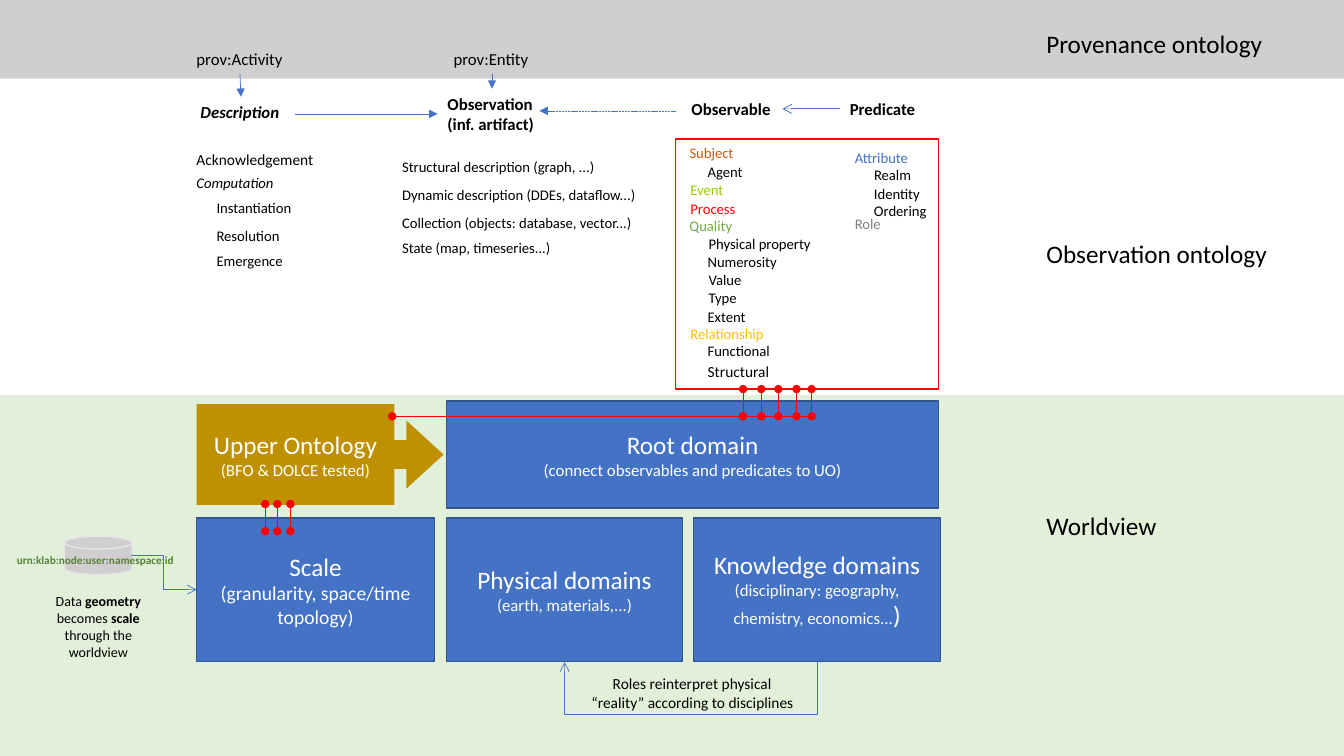
import pptx
import pptx.util
import pptx.dml.color
import pptx.enum.dml
import pptx.enum.shapes
import pptx.enum.text
import pptx.oxml
import pptx.oxml.ns

Inches = pptx.util.Inches
Kind = pptx.enum.shapes.MSO_SHAPE
Link = pptx.enum.shapes.MSO_CONNECTOR
Align = pptx.enum.text.PP_ALIGN
Fit = pptx.enum.text.MSO_AUTO_SIZE
rgb = pptx.dml.color.RGBColor.from_string
qn = pptx.oxml.ns.qn


class Theme:
    font = "Calibri"
    black, white, red = "000000", "FFFFFF", "FF0000"
    blue, edge, gold = "4472C4", "325491", "BF9000"
    mint, grey, rim = "E2F0D9", "D0CECE", "E7E6E6"
    rust, lime, green = "C55A11", "99CC00", "70AD47"
    amber, dim, leaf = "FFC000", "808080", "548235"
    head, sub, mid, body, item, note, tiny = 18, 14, 12, 11, 10.5, 10, 8


deck = pptx.Presentation()
deck.slide_width, deck.slide_height = Inches(13.33), Inches(7.5)
slide = deck.slides.add_slide(deck.slide_layouts[6])
shapes = slide.shapes


# Each line is (alignment, runs); each run is (text, size, style)
def write(shape, lines, color):
    frame = shape.text_frame
    for n, (align, runs) in enumerate(lines):
        para = frame.add_paragraph() if n else frame.paragraphs[0]
        para.alignment = align
        for text, size, style in runs:
            run = para.add_run()
            run.text = text
            run.font.name = Theme.font
            run.font.size = pptx.util.Pt(size)
            run.font.bold = "b" in style
            run.font.italic = "i" in style
            run.font.color.rgb = rgb(color)


def connect(x1, y1, x2, y2, color, head=None, tail=None, kind=Link.STRAIGHT, dash=None):
    line = shapes.add_connector(kind, Inches(x1), Inches(y1), Inches(x2), Inches(y2))
    line.line.color.rgb = rgb(color)
    line.line.width = pptx.util.Pt(0.5)
    if dash:
        line.line.dash_style = dash
    props = line._element.spPr
    for tag, end in (("a:headEnd", head), ("a:tailEnd", tail)):
        if end:
            mark = pptx.oxml.parse_xml(f'<{tag} {pptx.oxml.ns.nsdecls("a")} type="{end}"/>')
            props.find(qn("a:ln")).append(mark)
    props.append(pptx.oxml.parse_xml(f'<a:effectLst {pptx.oxml.ns.nsdecls("a")}/>'))
    return line


# Bands, domain boxes, upper ontology, data store and observable frame
left, mid = Align.LEFT, Align.CENTER
small = Theme.mid
blocks = [
    (Kind.RECTANGLE, 0, 3.92, 13.33, 3.58, Theme.mint, None, []),
    (Kind.RECTANGLE, 0, 0, 13.33, 0.78, Theme.grey, None, []),
    (Kind.RECTANGLE, 4.43, 3.98, 4.88, 1.06, Theme.blue, Theme.edge,
     ["Root domain", ("(connect observables and predicates to UO)", small, "")]),
    (Kind.RECTANGLE, 1.95, 5.14, 2.36, 1.42, Theme.blue, Theme.edge,
     ["Scale", ("(granularity, space/time topology)", Theme.sub, "")]),
    (Kind.RECTANGLE, 4.43, 5.14, 2.34, 1.42, Theme.blue, Theme.edge,
     ["Physical domains", ("(earth, materials,...)", small, "")]),
    (Kind.RECTANGLE, 6.88, 5.14, 2.45, 1.42, Theme.blue, Theme.edge,
     ["Knowledge domains", ("(disciplinary: geography, chemistry, economics...", small, ""),
      (")", Theme.head, "")]),
    (Kind.FLOWCHART_MAGNETIC_DISK, 0.64, 5.32, 0.67, 0.38, Theme.grey, Theme.rim, []),
    (Kind.RIGHT_ARROW_CALLOUT, 1.95, 4.01, 2.45, 1, Theme.gold, None,
     ["Upper Ontology", ("(BFO & DOLCE tested)", small, "")]),
    (Kind.RECTANGLE, 6.7, 1.38, 2.61, 2.48, None, Theme.red, []),
]
for kind, x, y, w, h, fill, edge, words in blocks:
    block = shapes.add_shape(kind, Inches(x), Inches(y), Inches(w), Inches(h))
    block.shadow.inherit = False
    if fill:
        block.fill.solid()
        block.fill.fore_color.rgb = rgb(fill)
    else:
        block.fill.background()
    if edge:
        block.line.color.rgb = rgb(edge)
        block.line.width = pptx.util.Pt(1)
    else:
        block.line.fill.background()
    if kind == Kind.RIGHT_ARROW_CALLOUT:
        for n, value in enumerate((0.287, 0.338, 0.37, 0.801)):
            block.adjustments[n] = value
    if words:
        block.text_frame.vertical_anchor = pptx.enum.text.MSO_ANCHOR.MIDDLE
        title = (words[0], Theme.head, "")
        write(block, [(mid, [title]), (mid, words[1:])], Theme.white)

# One-line labels, grouped by size, style and colour
groups = [
    (Theme.head, "", Theme.black, [
        (10.28, 0.23, 2.37, "Provenance ontology"),
        (10.28, 2.32, 2.41, "Observation ontology"),
        (10.28, 5.01, 1.31, "Worldview")]),
    (Theme.mid, "", Theme.black, [
        (1.85, 0.43, 1.06, "prov:Activity"), (4.4, 0.43, 0.95, "prov:Entity")]),
    (Theme.mid, "bi", Theme.black, [(1.89, 0.96, 1, "Description")]),
    (Theme.mid, "b", Theme.black, [
        (6.76, 0.93, 0.99, "Observable"), (8.33, 0.93, 0.86, "Predicate")]),
    (Theme.body, "", Theme.black, [
        (1.85, 1.44, 1.37, "Acknowledgement"), (6.92, 3.54, 0.82, "Structural")]),
    (Theme.item, "i", Theme.black, [(1.85, 1.68, 0.98, "Computation")]),
    (Theme.item, "", Theme.black, [
        (2.05, 1.92, 0.96, "Instantiation"), (2.05, 2.2, 0.84, "Resolution"),
        (2.05, 2.45, 0.87, "Emergence"),
        (3.89, 1.52, 2.14, "Structural description (graph, ...)"),
        (3.89, 1.79, 2.57, "Dynamic description (DDEs, dataflow...)"),
        (3.89, 2.07, 2.53, "Collection (objects: database, vector...)"),
        (3.89, 2.32, 1.7, "State (map, timeseries...)"),
        (6.92, 1.57, 0.56, "Agent"), (6.93, 2.28, 1.23, "Physical property"),
        (6.92, 2.46, 0.9, "Numerosity"), (6.93, 2.64, 0.54, "Value"),
        (6.93, 2.82, 0.49, "Type"), (6.92, 3, 0.59, "Extent"),
        (6.92, 3.34, 0.83, "Functional"), (8.57, 1.6, 0.58, "Realm"),
        (8.57, 1.78, 0.66, "Identity"), (8.57, 1.95, 0.73, "Ordering")]),
    (Theme.item, "", Theme.rust, [(6.74, 1.38, 0.65, "Subject")]),
    (Theme.item, "", Theme.lime, [(6.75, 1.74, 0.54, "Event")]),
    (Theme.item, "", Theme.red, [(6.75, 1.93, 0.66, "Process")]),
    (Theme.item, "", Theme.green, [(6.74, 2.1, 0.63, "Quality")]),
    (Theme.item, "", Theme.amber, [(6.75, 3.17, 0.94, "Relationship")]),
    (Theme.item, "", Theme.blue, [(8.38, 1.43, 0.75, "Attribute")]),
    (Theme.item, "", Theme.dim, [(8.38, 2.08, 0.47, "Role")]),
    (Theme.tiny, "b", Theme.leaf, [(0.07, 5.44, 1.77, "urn:klab:node:user:namespace:id")]),
]
notes = [(x, y, w, size * 1.2 / 72 + 0.1, [(left, [(text, size, style)])], color)
         for size, style, color, labels in groups for x, y, w, text in labels]

# Labels of several lines
notes += [
    (4.34, 0.88, 1.07, 0.5, [
        (left, [("Observation", Theme.mid, "b")]),
        (left, [("(inf. artifact)", Theme.mid, "b")])], Theme.black),
    (5.76, 6.64, 2.21, 0.47, [
        (mid, [("Roles reinterpret physical", Theme.body, "")]),
        (Align.RIGHT, [("“reality” according to disciplines", Theme.body, "")])], Theme.black),
    (0.28, 5.83, 1.39, 0.77, [
        (mid, [("Data ", Theme.note, ""), ("geometry", Theme.note, "b"),
               (" becomes ", Theme.note, ""), ("scale", Theme.note, "b"),
               (" through the worldview", Theme.note, "")])], Theme.black),
]
for x, y, w, h, lines, color in notes:
    box = shapes.add_textbox(Inches(x), Inches(y), Inches(w), Inches(h))
    box.text_frame.word_wrap = len(lines[0][1]) > 1
    box.text_frame.auto_size = Fit.SHAPE_TO_FIT_TEXT
    write(box, lines, color)

# Blue arrows
for x1, y1, x2, y2, tail in [
    (2.38, 0.73, 2.39, 0.96, "triangle"),
    (4.88, 0.73, 4.88, 0.88, "triangle"),
    (2.93, 1.13, 4.34, 1.13, "triangle"),
    (8.33, 1.08, 7.76, 1.08, "arrow"),
]:
    connect(x1, y1, x2, y2, Theme.blue, tail=tail)
connect(6.7, 1.1, 5.35, 1.1, Theme.blue, tail="triangle",
        dash=pptx.enum.dml.MSO_LINE.SQUARE_DOT)
connect(1.3, 5.51, 1.95, 5.85, Theme.blue, tail="arrow", kind=Link.ELBOW)

# Elbow turned a quarter, looping below the domain boxes
loop = connect(6.85, 5.31, 6.86, 7.82, Theme.blue, tail="arrow", kind=Link.ELBOW)
props = loop._element.spPr
props.find(qn("a:xfrm")).set("rot", "5400000")
guides = props.find(qn("a:prstGeom")).get_or_add_avLst()
guides.append(pptx.oxml.parse_xml(
    f'<a:gd {pptx.oxml.ns.nsdecls("a")} name="adj1" fmla="val 5400000"/>'))

# Red pins between the layers
for y, stops in ((3.86, (7.37, 7.55, 7.72, 7.9, 8.05)), (5, (2.63, 2.75, 2.88))):
    for x in stops:
        connect(x, y, x, y + 0.27, Theme.red, "oval", "oval")
connect(3.89, 4.13, 7.37, 4.13, Theme.red, "oval", "oval")
connect(7.37, 4.13, 8.05, 4.13, Theme.red)

deck.save("out.pptx")
